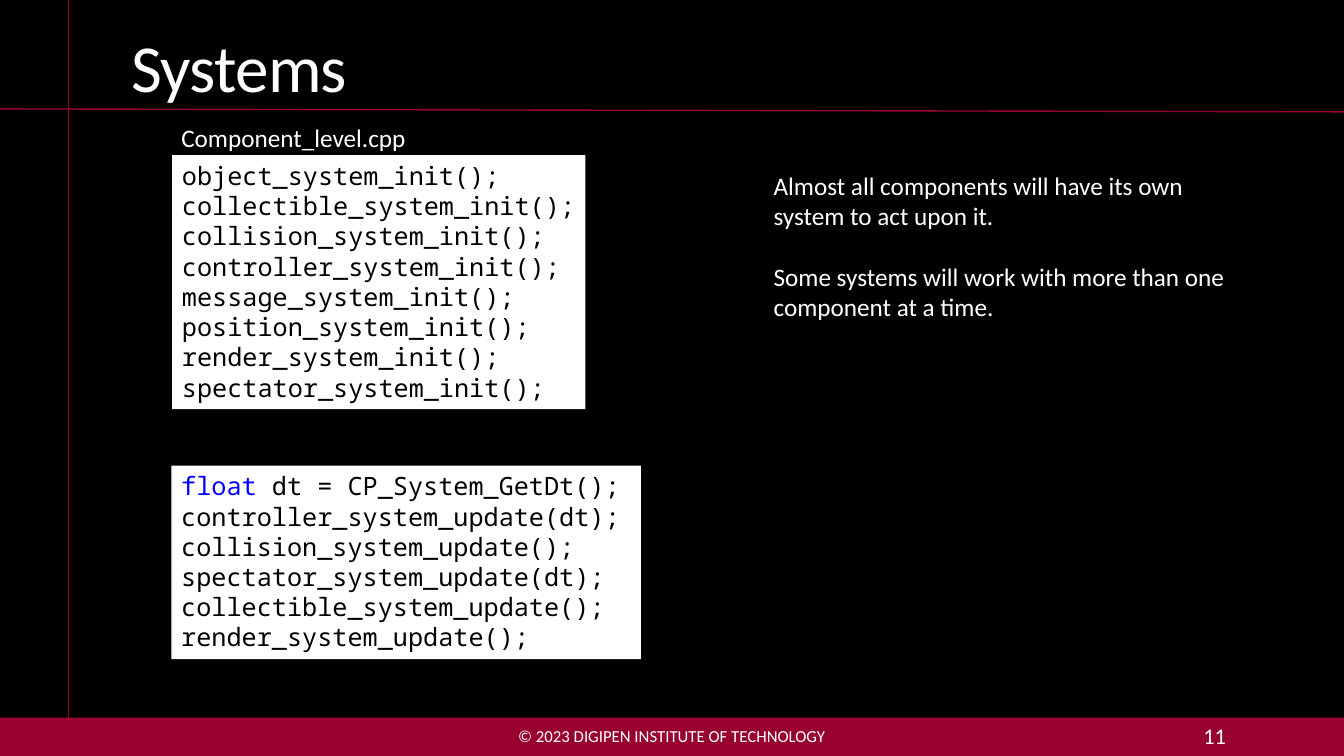
from dataclasses import dataclass

from lxml.etree import SubElement
from pptx import Presentation
from pptx.dml.color import RGBColor
from pptx.enum.shapes import MSO_CONNECTOR, MSO_SHAPE
from pptx.enum.text import MSO_ANCHOR, MSO_AUTO_SIZE, PP_ALIGN
from pptx.oxml.ns import qn
from pptx.shapes.autoshape import Shape
from pptx.slide import Slide
from pptx.text.text import Font
from pptx.util import Pt

WIDTH, HEIGHT = 960, 540
BLACK, WHITE, CRIMSON, KEYWORD = "000000", "FFFFFF", "98012E", "0000FF"
BODY_FONT, CODE_FONT = "Calibri", "Noto Sans Mono"
BAR_TOP = 512.6


@dataclass
class Rule:
    x1: float
    y1: float
    x2: float
    y2: float


@dataclass
class Label:
    left: float
    top: float
    width: float
    height: float
    paragraphs: list[str]
    size: float = 18
    align: PP_ALIGN = PP_ALIGN.LEFT
    anchor: MSO_ANCHOR = MSO_ANCHOR.TOP
    gap: float = 0


@dataclass
class CodeBox:
    left: float
    top: float
    width: float
    height: float
    lines: list[str]
    keyword: str = ""


RULES = [
    Rule(49, 0, 49, BAR_TOP),
    Rule(0, 77.8, WIDTH, 79.9),
]
LABELS = [
    Label(290.2, 511.2, 379.4, 28.8, ["© 2023 DIGIPEN INSTITUTE OF TECHNOLOGY"],
          size=12, align=PP_ALIGN.CENTER, anchor=MSO_ANCHOR.MIDDLE),
    Label(779.8, 511.2, 103, 28.8, ["11"],
          size=16, align=PP_ALIGN.RIGHT, anchor=MSO_ANCHOR.MIDDLE),
    Label(545.5, 118.1, 343.4, 116.6, [
        "Almost all components will have its own system to act upon it.",
        "Some systems will work with more than one component at a time.",
    ], gap=21.8),
    Label(122.4, 84.2, 210.2, 28.8, ["Component_level.cpp"]),
]
CODE_BOXES = [
    CodeBox(122.9, 110.9, 295.2, 181.4, [
        "object_system_init();",
        "collectible_system_init();",
        "collision_system_init();",
        "controller_system_init();",
        "message_system_init();",
        "position_system_init();",
        "render_system_init();",
        "spectator_system_init();",
    ]),
    CodeBox(122.4, 332.6, 335.5, 138.2, [
        " dt = CP_System_GetDt();",
        "controller_system_update(dt);",
        "collision_system_update();",
        "spectator_system_update(dt);",
        "collectible_system_update();",
        "render_system_update();",
    ], keyword="float"),
]


def rgb(value: str) -> RGBColor:
    return RGBColor.from_string(value)


def style(font: Font, name: str, size: float, color: str) -> None:
    font.name = name
    font.size = Pt(size)
    font.color.rgb = rgb(color)


def add_block(s: Slide, left: float, top: float, width: float, height: float,
              color: str) -> Shape:
    sp = s.shapes.add_shape(MSO_SHAPE.RECTANGLE, Pt(left), Pt(top), Pt(width), Pt(height))
    sp.shadow.inherit = False
    sp.fill.solid()
    sp.fill.fore_color.rgb = rgb(color)
    sp.line.fill.background()
    return sp


def add_rule(s: Slide, rule: Rule) -> None:
    line = s.shapes.add_connector(
        MSO_CONNECTOR.STRAIGHT, Pt(rule.x1), Pt(rule.y1), Pt(rule.x2), Pt(rule.y2))
    line.line.color.rgb = rgb(CRIMSON)
    line.line.width = Pt(1)
    SubElement(line._element.spPr, qn("a:effectLst"))


def add_label(s: Slide, label: Label) -> None:
    sp = s.shapes.add_textbox(
        Pt(label.left), Pt(label.top), Pt(label.width), Pt(label.height))
    tf = sp.text_frame
    tf.word_wrap = True
    tf.vertical_anchor = label.anchor
    tf.text = "\n".join(label.paragraphs)
    for i, p in enumerate(tf.paragraphs):
        p.alignment = label.align
        if i:
            p.space_before = Pt(label.gap)
        for r in p.runs:
            style(r.font, BODY_FONT, label.size, WHITE)


def add_code(s: Slide, box: CodeBox) -> None:
    sp = add_block(s, box.left, box.top, box.width, box.height, WHITE)
    tf = sp.text_frame
    tf.word_wrap = True
    tf.margin_right = 0
    tf.vertical_anchor = MSO_ANCHOR.TOP
    for i, line in enumerate(box.lines):
        p = tf.add_paragraph() if i else tf.paragraphs[0]
        p.alignment = PP_ALIGN.LEFT
        if box.keyword and i == 0:
            r = p.add_run()
            r.text = box.keyword
            style(r.font, CODE_FONT, 18, KEYWORD)
        r = p.add_run()
        r.text = line
        style(r.font, CODE_FONT, 18, BLACK)


def set_title(s: Slide, text: str) -> None:
    sp = s.shapes.title
    sp.left, sp.top, sp.width, sp.height = Pt(86.4), Pt(11.5), Pt(792), Pt(67.7)
    tf = sp.text_frame
    tf.text = text
    tf.word_wrap = True
    tf.auto_size = MSO_AUTO_SIZE.NONE
    tf.vertical_anchor = MSO_ANCHOR.BOTTOM
    p = tf.paragraphs[0]
    p.alignment = PP_ALIGN.LEFT
    p.line_spacing = 0.85
    r = p.runs[0]
    style(r.font, BODY_FONT, 48, WHITE)
    r._r.get_or_add_rPr().set("spc", "-50")


def main() -> None:
    prs = Presentation()
    prs.slide_width, prs.slide_height = Pt(WIDTH), Pt(HEIGHT)
    s = prs.slides.add_slide(prs.slide_layouts[5])
    s.background.fill.solid()
    s.background.fill.fore_color.rgb = rgb(BLACK)
    add_block(s, 0, BAR_TOP, WIDTH, HEIGHT - BAR_TOP, CRIMSON)
    for rule in RULES:
        add_rule(s, rule)
    set_title(s, "Systems")
    for box in CODE_BOXES:
        add_code(s, box)
    for label in LABELS:
        add_label(s, label)
    prs.save("out.pptx")


if __name__ == "__main__":
    main()
